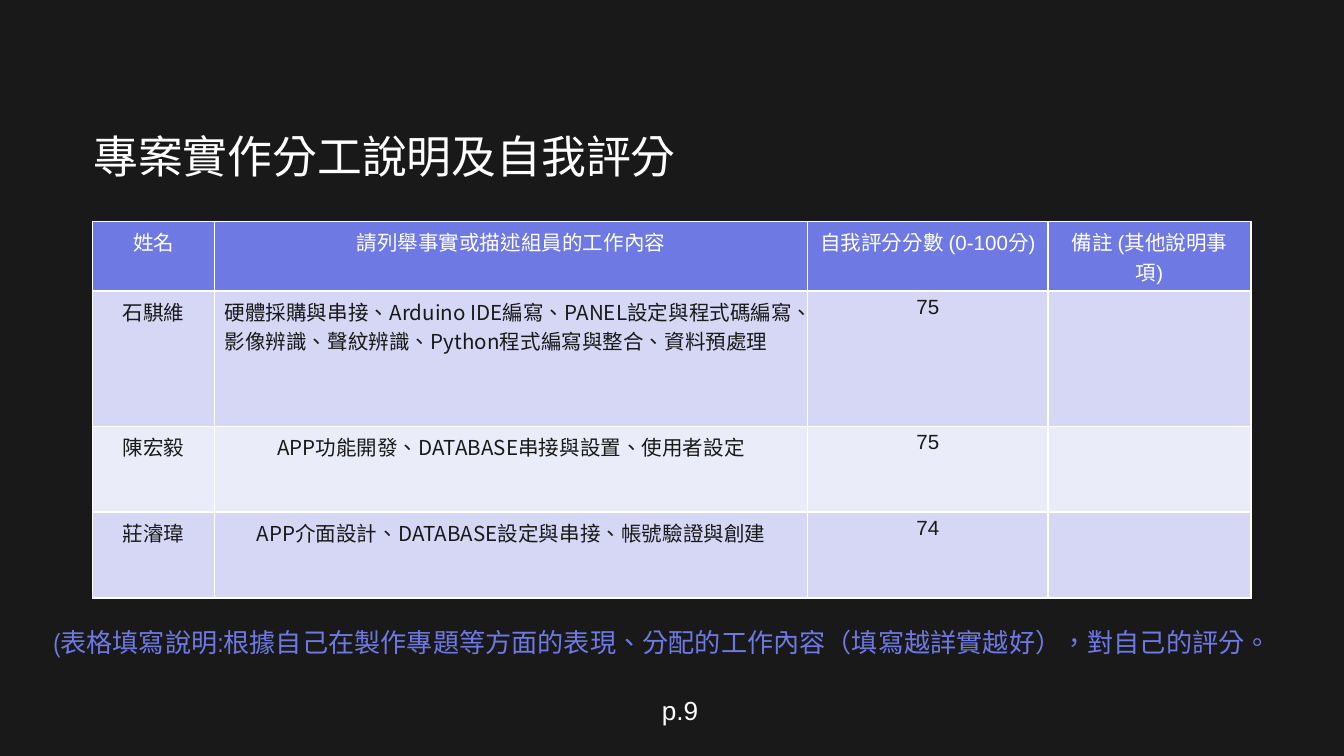
from dataclasses import dataclass

from lxml.etree import SubElement
from pptx import Presentation
from pptx.dml.color import RGBColor
from pptx.enum.text import MSO_ANCHOR, PP_ALIGN
from pptx.oxml.ns import qn
from pptx.slide import Slide
from pptx.table import _Cell
from pptx.text.text import _Paragraph
from pptx.util import Pt

DARK = RGBColor(0x19, 0x19, 0x19)
WHITE = RGBColor(0xFF, 0xFF, 0xFF)
BLUE = RGBColor(0x6E, 0x79, 0xE4)
BANDS = RGBColor(0xD5, 0xD7, 0xF5), RGBColor(0xEB, 0xEC, 0xFA)
SANS = "Noto Sans CJK SC"
LEFT, MID = PP_ALIGN.LEFT, PP_ALIGN.CENTER


@dataclass(frozen=True)
class Style:
    font: str
    size: float
    color: RGBColor
    align: PP_ALIGN = MID


@dataclass(frozen=True)
class Label:
    text: str
    box: tuple[float, float, float, float]
    inset: tuple[float, float]
    anchor: MSO_ANCHOR
    style: Style
    space: float = 1.0


@dataclass(frozen=True)
class Member:
    name: str
    work: str
    score: str
    height: float
    align: PP_ALIGN = MID


LABELS = [
    Label("專案實作分工說明及自我評分", (44.6, 46.1, 620.6, 78.5), (5.4, 2.7),
          MSO_ANCHOR.MIDDLE, Style(SANS, 24, WHITE, LEFT), 0.9),
    Label("(表格填寫說明:根據自己在製作專題等方面的表現、分配的工作內容"
          "（填寫越詳實越好），對自己的評分。", (-5, 291.6, 720, 104.4), (7.2, 7.2),
          MSO_ANCHOR.MIDDLE, Style("Arial Narrow", 14, BLUE)),
    Label("p.9", (4.3, 368.6, 720, 24.5), (7.2, 3.6),
          MSO_ANCHOR.TOP, Style("Arial", 14, WHITE)),
]
HEADS = ["姓名", "請列舉事實或描述組員的工作內容", "自我評分分數 (0-100分)", "備註 (其他說明事項)"]
TEAM = [
    Member("石騏維", "硬體採購與串接、Arduino IDE編寫、PANEL設定與程式碼編寫、"
           "影像辨識、聲紋辨識、Python程式編寫與整合、資料預處理", "75", 72.5, LEFT),
    Member("陳宏毅", "APP功能開發、DATABASE串接與設置、使用者設定", "75", 46),
    Member("莊濬瑋", "APP介面設計、DATABASE設定與串接、帳號驗證與創建", "74", 46),
]
WIDTHS = [65.4, 317.6, 129, 108.6]


def write(para: _Paragraph, text: str, style: Style) -> None:
    para.text = text
    para.alignment = style.align
    para.font.name = style.font
    para.font.size = Pt(style.size)
    para.font.color.rgb = style.color
    for run in para.runs:
        run._r.get_or_add_rPr().set("lang", "zh-TW")


def label(slide: Slide, item: Label) -> None:
    frame = slide.shapes.add_textbox(*map(Pt, item.box)).text_frame
    frame.word_wrap = True
    frame.vertical_anchor = item.anchor
    side, edge = map(Pt, item.inset)
    frame.margin_left = frame.margin_right = side
    frame.margin_top = frame.margin_bottom = edge
    write(frame.paragraphs[0], item.text, item.style)
    frame.paragraphs[0].line_spacing = item.space


def border(cell: _Cell, sides: dict[str, float]) -> None:
    props = cell._tc.get_or_add_tcPr()
    for side, width in sides.items():
        line = SubElement(props, qn(f"a:ln{side}"), w=str(Pt(width)))
        fill = SubElement(line, qn("a:solidFill"))
        SubElement(fill, qn("a:srgbClr"), val=str(WHITE))


def paint(cell: _Cell, text: str, style: Style, fill: RGBColor,
          sides: dict[str, float]) -> None:
    border(cell, sides)
    cell.fill.solid()
    cell.fill.fore_color.rgb = fill
    cell.margin_left = cell.margin_right = Pt(5.4)
    cell.margin_top = cell.margin_bottom = Pt(2.7)
    write(cell.text_frame.paragraphs[0], text, style)


def roster(slide: Slide) -> None:
    highs = [32.4] + [member.height for member in TEAM]
    shape = slide.shapes.add_table(len(highs), len(WIDTHS), Pt(49.6), Pt(118.6),
                                   Pt(sum(WIDTHS)), Pt(sum(highs)))
    table = shape.table
    table.first_row = table.horz_banding = False
    for col, width in zip(table.columns, WIDTHS):
        col.width = Pt(width)
    for row, high in zip(table.rows, highs):
        row.height = Pt(high)
    for col, head in enumerate(HEADS):
        paint(table.cell(0, col), head, Style("Arial", 11, WHITE), BLUE,
              {"L": 1, "R": 1, "T": 1, "B": 1.5})
    for row, member in enumerate(TEAM, 1):
        cells = [
            (member.name, Style(SANS, 11, DARK)),
            (member.work, Style(SANS, 11, DARK, member.align)),
            (member.score, Style("Arial", 11, DARK)),
            ("", Style("Arial", 11, DARK)),
        ]
        for col, (text, style) in enumerate(cells):
            paint(table.cell(row, col), text, style, BANDS[(row - 1) % 2],
                  {"L": 1, "R": 1, "B": 1})


def main() -> None:
    deck = Presentation()
    deck.slide_width, deck.slide_height = Pt(720), Pt(405)
    slide = deck.slides.add_slide(deck.slide_layouts[6])
    slide.background.fill.solid()
    slide.background.fill.fore_color.rgb = DARK
    roster(slide)
    for item in LABELS:
        label(slide, item)
    deck.save("out.pptx")


if __name__ == "__main__":
    main()
